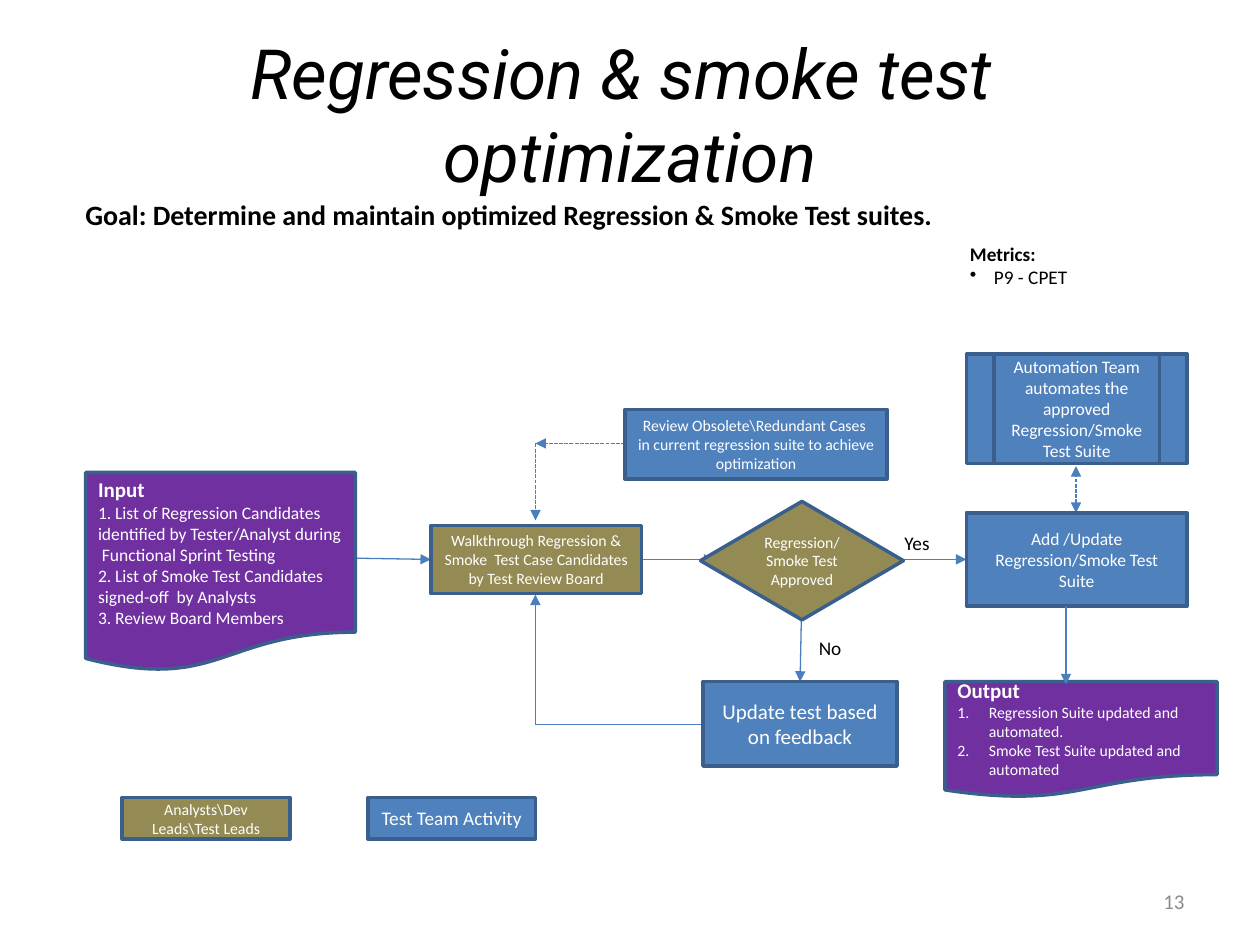
import pptx
import pptx.util
import pptx.dml.color
import pptx.enum.dml
import pptx.enum.shapes
import pptx.enum.text
import pptx.oxml
import pptx.oxml.ns

Inches = pptx.util.Inches
Pt = pptx.util.Pt
Shape = pptx.enum.shapes.MSO_SHAPE
Connector = pptx.enum.shapes.MSO_CONNECTOR
Align = pptx.enum.text.PP_ALIGN
Anchor = pptx.enum.text.MSO_ANCHOR

REVIEW, TEAM, DOCUMENT = "948A54", "4F81BD", "7030A0"
OUTLINE, ARROW = "3A5F8C", "4B7EBC"
WHITE, BLACK, GREY = "FFFFFF", "000000", "8C8C8C"

deck = pptx.Presentation()
deck.slide_width, deck.slide_height = Inches(10), Inches(7.5)
page = deck.slides.add_slide(deck.slide_layouts[6])
color = pptx.dml.color.RGBColor.from_string


def write(box, text, size=11, ink=WHITE, font="Calibri", bold=False, italic=False,
          align=Align.LEFT, anchor=Anchor.MIDDLE, heading=None, heading_size=11,
          bullet=None, indent=0):
    """Fill a box with an optional bold heading and one paragraph per line of text."""
    frame = box.text_frame
    frame.word_wrap = True
    frame.vertical_anchor = anchor
    lines = text.split("\n")
    if heading:
        lines.insert(0, heading)
    for index, line in enumerate(lines):
        is_heading = bool(heading) and index == 0
        para = frame.paragraphs[0] if index == 0 else frame.add_paragraph()
        para.alignment = align
        span = para.add_run()
        span.text = line
        span.font.name = font
        span.font.size = Pt(heading_size if is_heading else size)
        span.font.bold = bold or is_heading
        span.font.italic = italic
        span.font.color.rgb = color(ink)
        if bullet and not is_heading:
            settings = para._p.get_or_add_pPr()
            settings.set("marL", str(Inches(indent)))
            settings.set("indent", str(-Inches(indent)))
            settings.append(pptx.oxml.parse_xml(
                f"<a:{bullet} {pptx.oxml.ns.nsdecls('a')}/>"))


def connect(start, end, ends=("tailEnd",), dashed=False, bent=False):
    """Draw a thin arrow between two points, straight or with one corner."""
    kind = Connector.ELBOW if bent else Connector.STRAIGHT
    points = [Inches(value) for value in (*start, *end)]
    arrow = page.shapes.add_connector(kind, *points)
    arrow.line.color.rgb = color(ARROW)
    arrow.line.width = Pt(0.75)
    if dashed:
        arrow.line.dash_style = pptx.enum.dml.MSO_LINE.SQUARE_DOT
    properties = arrow._element.spPr
    if bent:
        properties.find(pptx.oxml.ns.qn("a:prstGeom")).set("prst", "bentConnector2")
    namespace = pptx.oxml.ns.nsdecls("a")
    for name in ends:
        arrow.line._get_or_add_ln().append(
            pptx.oxml.parse_xml(f'<a:{name} {namespace} type="triangle"/>'))
    properties.append(pptx.oxml.parse_xml(f"<a:effectLst {namespace}/>"))


# Arrows that sit beneath the boxes
flow_y, loop_x = 4.44, 4.25
connect((2.82, 4.43), (3.42, flow_y))
connect((5.08, flow_y), (5.67, flow_y))
connect((7.17, flow_y), (7.67, flow_y))
connect((8.54, 4.07), (8.54, 3.7), ends=("headEnd", "tailEnd"), dashed=True)
connect((6.36, 4.91), (6.35, 5.41))
connect((5.58, 5.75), (loop_x, 4.72), bent=True)
connect((4.96, 3.52), (loop_x, 3.52), dashed=True)
connect((loop_x, 3.52), (loop_x, 4.13), dashed=True)

# Flowchart boxes and legend
centered = dict(align=Align.CENTER)
steps = [
    (Shape.FLOWCHART_PROCESS, (3.42, 4.17, 1.67, 0.54), REVIEW,
     "Walkthrough Regression & Smoke  Test Case Candidates by Test Review Board",
     dict(size=9, **centered)),
    (Shape.FLOWCHART_DECISION, (5.56, 3.98, 1.61, 0.94), REVIEW,
     "Regression/ Smoke Test Approved", dict(size=9, **centered)),
    (Shape.FLOWCHART_PROCESS, (7.67, 4.07, 1.75, 0.74), TEAM,
     "Add /Update Regression/Smoke Test Suite", dict(size=10, **centered)),
    (Shape.FLOWCHART_PREDEFINED_PROCESS, (7.67, 2.81, 1.75, 0.87), TEAM,
     "Automation Team automates the approved Regression/Smoke Test Suite",
     dict(size=10, **centered)),
    (Shape.FLOWCHART_PROCESS, (5.58, 5.41, 1.54, 0.67), TEAM,
     "Update test based on feedback", dict(size=12, **centered)),
    (Shape.FLOWCHART_PROCESS, (4.96, 3.25, 2.08, 0.55), TEAM,
     "Review Obsolete\\Redundant Cases  in current regression suite to achieve optimization",
     dict(size=9, **centered)),
    (Shape.FLOWCHART_PROCESS, (0.97, 6.33, 1.33, 0.33), REVIEW,
     "Analysts\\Dev Leads\\Test Leads", dict(size=9, **centered)),
    (Shape.FLOWCHART_PROCESS, (2.92, 6.33, 1.33, 0.33), TEAM,
     "Test Team Activity", dict(size=11, **centered)),
    (Shape.FLOWCHART_DOCUMENT, (0.68, 3.75, 2.14, 1.58), DOCUMENT,
     "1. List of Regression Candidates identified by Tester/Analyst during  Functional Sprint Testing\n"
     "2. List of Smoke Test Candidates signed-off  by Analysts\n"
     "3. Review Board Members",
     dict(size=10, heading="Input", heading_size=12)),
    (Shape.FLOWCHART_DOCUMENT, (7.5, 5.41, 2.16, 0.92), DOCUMENT,
     "Regression Suite updated and automated.\nSmoke Test Suite updated and automated",
     dict(size=9, heading="Output", heading_size=12,
          bullet='buAutoNum type="arabicPeriod"', indent=0.25)),
]
for kind, place, fill, text, style in steps:
    step = page.shapes.add_shape(kind, *[Inches(value) for value in place])
    step.shadow.inherit = False
    step.fill.solid()
    step.fill.fore_color.rgb = color(fill)
    step.line.color.rgb = color(OUTLINE)
    step.line.width = Pt(2)
    write(step, text, **style)

# This arrow tip overlaps the output document
connect((8.46, 4.81), (8.46, 5.43))

# Title, goal, labels, metrics and page number
top = dict(ink=BLACK, anchor=Anchor.TOP)
labels = [
    ((0.5, 0.3, 9, 1.2), "Regression & smoke test  optimization",
     dict(size=39.6, ink=BLACK, font="Roboto", italic=True, **centered)),
    ((0.58, 1.52, 8.04, 0.37),
     "Goal: Determine and maintain optimized Regression & Smoke Test suites.",
     dict(size=16, bold=True, **top)),
    ((7.6, 1.87, 1.76, 0.47), "P9 - CPET",
     dict(heading="Metrics:", bullet='buChar char="\u2022"', indent=0.19, **top)),
    ((7.08, 4.17, 0.5, 0.29), "Yes", top),
    ((6.4, 5, 0.42, 0.29), "No", top),
    ((7.17, 6.95, 2.33, 0.4), "13", dict(size=12, ink=GREY, align=Align.RIGHT)),
]
for place, text, style in labels:
    write(page.shapes.add_textbox(*[Inches(value) for value in place]), text, **style)

deck.save("out.pptx")
